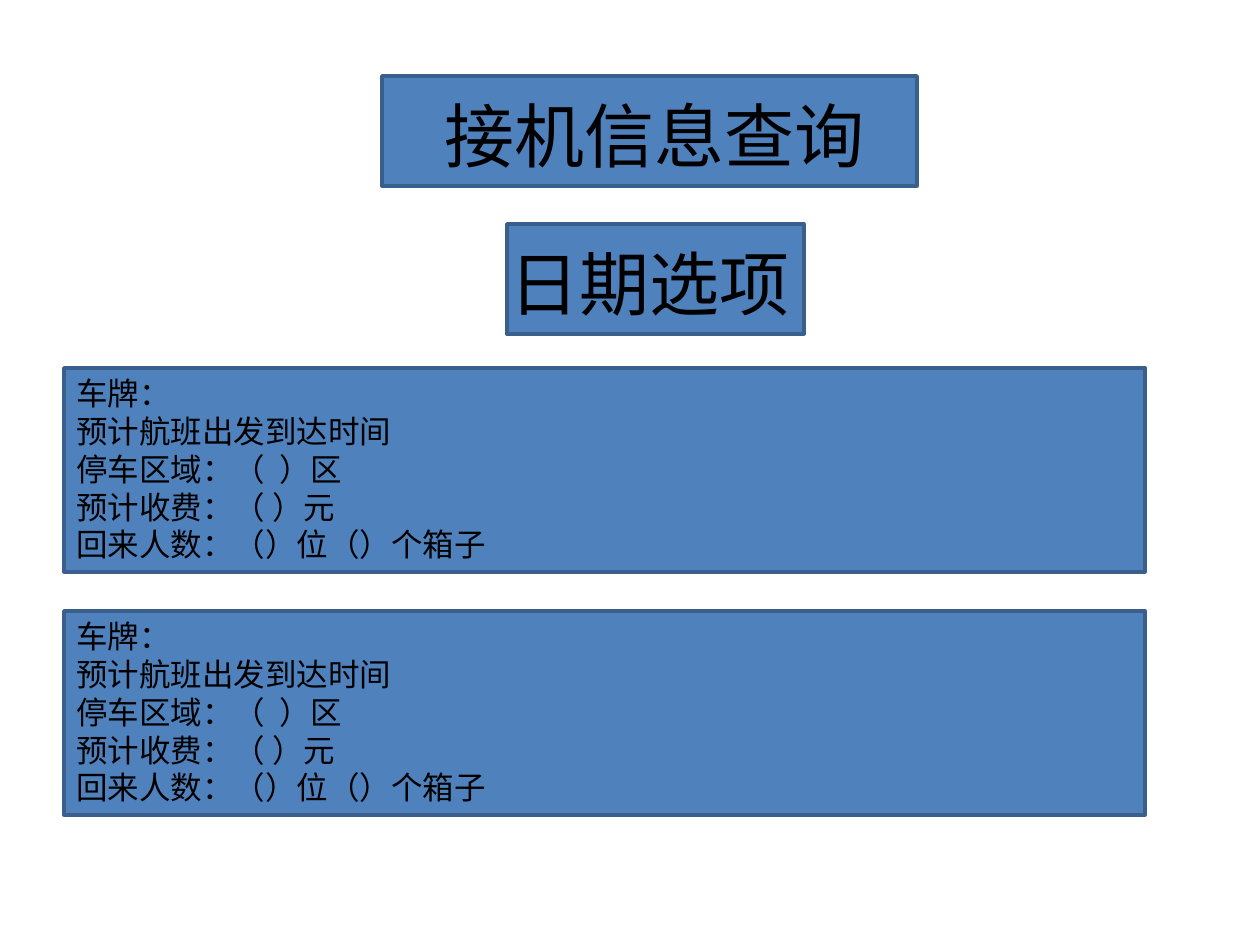
from pptx import Presentation
from pptx.dml.color import RGBColor
from pptx.enum.shapes import MSO_SHAPE
from pptx.enum.text import MSO_ANCHOR, MSO_AUTO_SIZE, PP_ALIGN
from pptx.util import Emu, Pt

PIXEL = 914400 / 126
FONT = "Calibri"
BLACK, BLUE, BORDER = "000000", "4F81BD", "3A5F8C"

TITLE = "接机信息查询"
TITLE_PANEL, TITLE_TEXT = (382, 76, 535, 110), (292, 86, 725, 118)
DATE = "日期选项"
DATE_PANEL, DATE_TEXT = (507, 224, 297, 110), (287, 234, 725, 118)

CARD_LINES = [
    "车牌：",
    "预计航班出发到达时间",
    "停车区域：（  ）区",
    "预计收费：（ ）元",
    "回来人数：（）位（）个箱子",
]
CARD_COUNT = 2
CARD_LEFT, CARD_TOP, CARD_WIDTH, CARD_HEIGHT = 64, 368, 1081, 204
CARD_PITCH = 243


def color(value):
    return RGBColor.from_string(value)


def scale(area):
    return [Emu(round(length * PIXEL)) for length in area]


def add_panel(page, area):
    panel = page.shapes.add_shape(MSO_SHAPE.RECTANGLE, *scale(area))
    panel.shadow.inherit = False
    panel.fill.solid()
    panel.fill.fore_color.rgb = color(BLUE)
    panel.line.color.rgb = color(BORDER)
    panel.line.width = Pt(2)


def write(box, lines, size, align, fit=MSO_AUTO_SIZE.NONE):
    frame = box.text_frame
    frame.word_wrap = True
    frame.auto_size = fit
    frame.vertical_anchor = MSO_ANCHOR.TOP
    for index, line in enumerate(lines):
        para = frame.add_paragraph() if index else frame.paragraphs[0]
        para.alignment = align
        span = para.add_run()
        span.text = line
        span.font.name = FONT
        span.font.size = Pt(size)
        span.font.color.rgb = color(BLACK)


def add_title(page):
    add_panel(page, TITLE_PANEL)
    title = page.shapes.title
    title.left, title.top, title.width, title.height = scale(TITLE_TEXT)
    write(title, [TITLE], 40, PP_ALIGN.CENTER)
    page.shapes.element.append(title.element)


def add_date(page):
    add_panel(page, DATE_PANEL)
    box = page.shapes.add_textbox(*scale(DATE_TEXT))
    write(box, [DATE], 40, PP_ALIGN.CENTER)


def add_card(page, index):
    area = (CARD_LEFT, CARD_TOP + index * CARD_PITCH, CARD_WIDTH, CARD_HEIGHT)
    add_panel(page, area)
    box = page.shapes.add_textbox(*scale(area))
    write(box, CARD_LINES, 18, PP_ALIGN.LEFT, MSO_AUTO_SIZE.SHAPE_TO_FIT_TEXT)


def main():
    deck = Presentation()
    deck.slide_width, deck.slide_height = scale((1260, 945))
    page = deck.slides.add_slide(deck.slide_layouts[5])
    add_title(page)
    add_date(page)
    for index in range(CARD_COUNT):
        add_card(page, index)
    deck.save("out.pptx")


if __name__ == "__main__":
    main()
